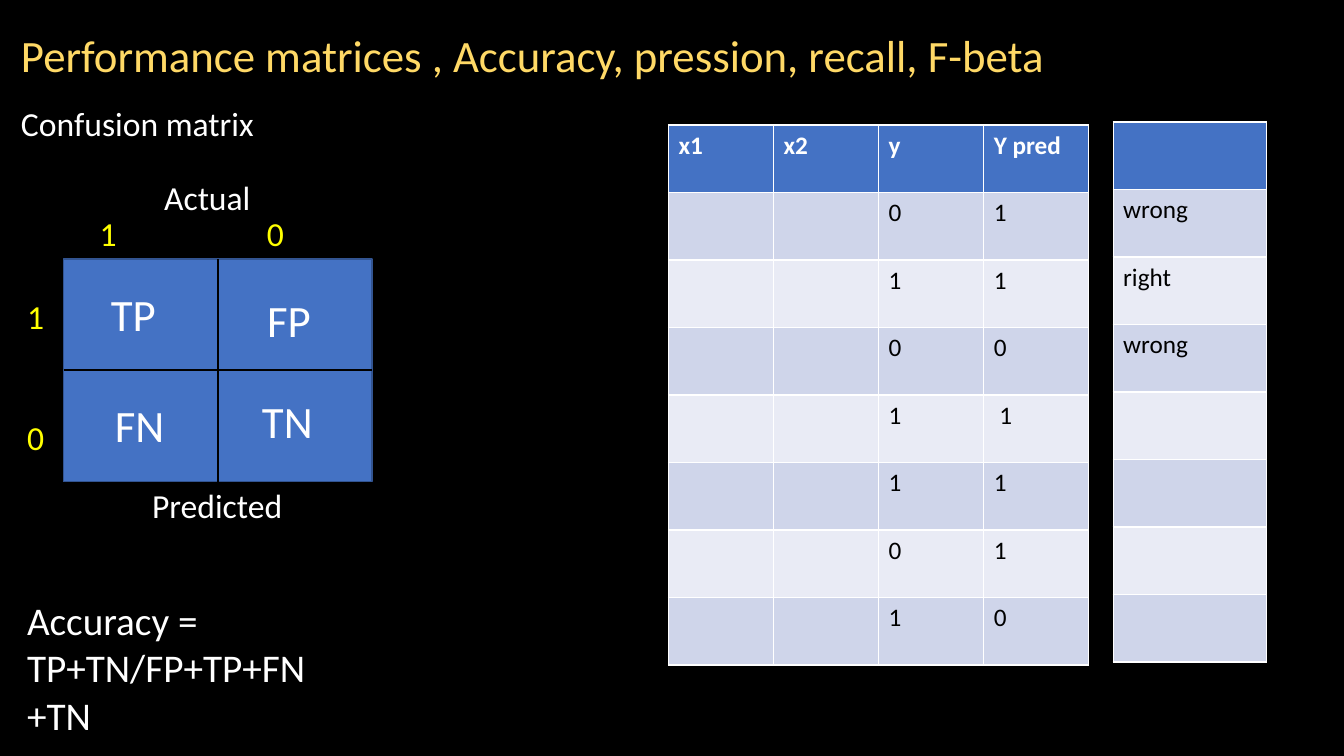
import pptx
import pptx.dml.color
import pptx.enum.shapes
import pptx.util
from dataclasses import dataclass
from lxml import etree

Inches = pptx.util.Inches
Pt = pptx.util.Pt


@dataclass(frozen=True)
class Theme:
    font: str = "Calibri"
    background: str = "000000"
    title: str = "FFD966"
    text: str = "FFFFFF"
    class_label: str = "FFFF00"
    blue: str = "4472C4"
    outline: str = "325491"
    dark: str = "000000"
    bands: tuple = ("E9EBF5", "CFD5EA")
    large: int = 32
    formula: int = 28
    body: int = 24
    table: int = 18


theme = Theme()
rgb = pptx.dml.color.RGBColor.from_string


def style(paragraph, size, color, bold=False):
    font = paragraph.font
    font.name, font.size, font.bold = theme.font, Pt(size), bold
    font.color.rgb = rgb(color)


def add_label(text, left, top, width, height, size, color):
    frame = slide.shapes.add_textbox(
        Inches(left), Inches(top), Inches(width), Inches(height)).text_frame
    frame.word_wrap = True
    frame.text = text
    style(frame.paragraphs[0], size, color)


deck = pptx.Presentation()
deck.slide_width, deck.slide_height = Inches(13.33), Inches(7.5)
slide = deck.slides.add_slide(deck.slide_layouts[6])
slide.background.fill.solid()
slide.background.fill.fore_color.rgb = rgb(theme.background)

# Confusion matrix: a square block with two dividing lines
left, top, width, height = 0.63, 2.57, 3.06, 2.21
right, bottom = left + width, top + height
middle_x, middle_y = left + width / 2, top + height / 2

matrix = slide.shapes.add_shape(
    pptx.enum.shapes.MSO_SHAPE.RECTANGLE,
    Inches(left), Inches(top), Inches(width), Inches(height))
matrix.shadow.inherit = False
matrix.fill.solid()
matrix.fill.fore_color.rgb = rgb(theme.blue)
matrix.line.color.rgb = rgb(theme.outline)
matrix.line.width = Pt(1)

for x1, y1, x2, y2 in [(middle_x, top, middle_x, bottom),
                       (left, middle_y, right, middle_y)]:
    divider = slide.shapes.add_connector(
        pptx.enum.shapes.MSO_CONNECTOR.STRAIGHT,
        Inches(x1), Inches(y1), Inches(x2), Inches(y2))
    divider.line.color.rgb = rgb(theme.dark)
    divider.line.width = Pt(1.5)
    etree.SubElement(divider.element.spPr, pptx.oxml.ns.qn("a:effectLst"))

# Headings, axis names, class labels, matrix cells and formula
for label in [
    ("Performance matrices , Accuracy, pression, recall, F-beta",
     0.11, 0.23, 10.49, 0.64, theme.large, theme.title),
    ("Confusion matrix", 0.11, 0.97, 2.59, 0.5, theme.body, theme.text),
    ("Actual", 1.53, 1.71, 1.26, 0.5, theme.body, theme.text),
    ("Predicted", 1.41, 4.76, 1.9, 0.5, theme.body, theme.text),
    ("1", 0.89, 2.06, 0.46, 0.5, theme.body, theme.class_label),
    ("0", 2.55, 2.06, 0.46, 0.5, theme.body, theme.class_label),
    ("1", 0.17, 2.89, 0.46, 0.5, theme.body, theme.class_label),
    ("0", 0.17, 4.09, 0.46, 0.5, theme.body, theme.class_label),
    ("TP", 1, 2.8, 1.18, 0.64, theme.large, theme.text),
    ("FP", 2.55, 2.85, 1.18, 0.64, theme.large, theme.text),
    ("FN", 1.04, 3.9, 1.18, 0.64, theme.large, theme.text),
    ("TN", 2.5, 3.86, 1.18, 0.64, theme.large, theme.text),
    ("Accuracy = TP+TN/FP+TP+FN+TN",
     0.17, 5.87, 3.06, 1.51, theme.formula, theme.text),
]:
    add_label(*label)

# Predictions and their verdicts
outcomes = [("0", "1"), ("1", "1"), ("0", "0"), ("1", " 1"),
            ("1", "1"), ("0", "1"), ("1", "0")]
predictions = [("x1", "x2", "y", "Y pred")]
predictions += [("", "", actual, predicted) for actual, predicted in outcomes]
verdicts = [(word,) for word in ("", "wrong", "right", "wrong", "", "", "", "")]

for rows, table_left, table_top, table_width in [
        (predictions, 6.63, 1.24, 4.17), (verdicts, 11.04, 1.21, 1.52)]:
    table = slide.shapes.add_table(
        len(rows), len(rows[0]), Inches(table_left), Inches(table_top),
        Inches(table_width), Inches(5.36)).table
    for r, row in enumerate(rows):
        header = r == 0
        for c, value in enumerate(row):
            cell = table.cell(r, c)
            cell.text = value
            cell.fill.solid()
            cell.fill.fore_color.rgb = rgb(theme.blue if header else theme.bands[r % 2])
            style(cell.text_frame.paragraphs[0], theme.table,
                  theme.text if header else theme.dark, header)

deck.save("out.pptx")
